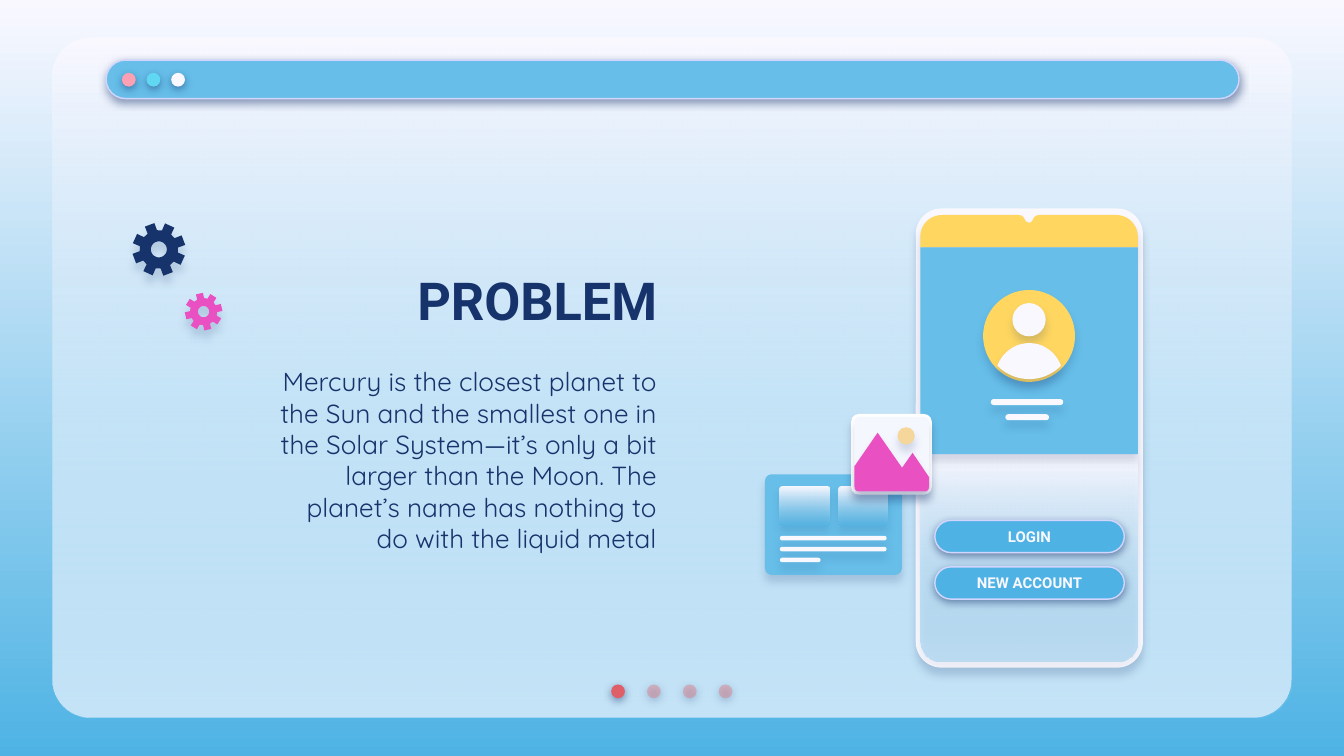
import math
import lxml.etree
import pptx
import pptx.dml.color
import pptx.enum.shapes
import pptx.enum.text
import pptx.oxml.ns
import pptx.util

Pt = pptx.util.Pt
qn = pptx.oxml.ns.qn
MSO = pptx.enum.shapes.MSO_SHAPE
ALIGN = pptx.enum.text.PP_ALIGN

COLORS = {
    "pale": "F9F8FF", "white": "FFFFFF", "ice": "F5F7FF", "navy": "17336B",
    "sky": "66BEE9", "blue": "4EB3E4", "lilac": "D2D6FF", "pink": "E951C2",
    "yellow": "FFD65F", "sand": "F5D79B", "red": "DF5F69", "rose": "E27B83",
    "blush": "FDA0B4", "cyan": "60D8F4",
}
# Gradients run from top to bottom: (colour, opacity %) per stop
FADES = {
    "page": (("pale", 100), ("blue", 100)),
    "glass": (("pale", 100), ("sky", 35)),
    "thumb": (("pale", 100), ("blue", 58)),
}
# Shadows fall straight down: (opacity %, blur, distance)
SHADOWS = {"crisp": (50, 4.5, 1.5), "soft": (16, 4.5, 3.8),
           "gear": (16, 4.5, 4.5), "none": None}

# Text: string, box, font, size, bold, space after
TEXTS = [
    ("PROBLEM", (138.2, 131.8, 221, 56.9), "Roboto", 28, True, 0),
    ("Mercury is the closest planet to the Sun and the smallest one in the "
     "Solar System—it’s only a bit larger than the Moon. The planet’s name "
     "has nothing to do with the liquid metal",
     (138.2, 190.8, 221, 110.9), "Quicksand", 14, False, 12),
]

# Parts: box (left, top, width, height), fill, corner radius; "o" is an ellipse
PANEL = (28.1, 20.4, 663.8, 364.1)
BAR = (56.9, 32.2, 606.9, 20.6)
BAR_DOTS = ["blush", "cyan", "pale"]
PAGE_DOTS = [("red", 100)] + [("rose", 44)] * 3
DOT = 7.4

CARD = [((409.8, 254.1, 73.4, 53.9), "sky", 3.5)]
CARD += [((x, 260.5, 26.6, 21.4), "thumb", 1.4) for x in (417.8, 449)]
CARD += [((417.8, 287.1 + 5.85 * i, w, 2.4), "pale", 1.2)
         for i, w in enumerate((57.2, 57.2, 21.8))]

PHONE = [((490.6, 111.7, 121.7, 246), "pale", 13.8)]
SCREEN_BOTTOM = (493.1, 243.3, 116.5, 111)
PROFILE = [
    ((493.1, 132.5, 116.5, 110.8), "sky", 0),
    ((526.7, 155.4, 49.2, 49.2), "yellow", "o"),
    ((542.4, 162.4, 17.8, 17.8), "pale", "o"),
]
NAME_LINES = [((530.8, 213.8, 38.8, 3.2), "pale", 1.6),
              ((538.6, 221.9, 23.4, 3.2), "pale", 1.6)]
BUTTONS = ["LOGIN", "NEW ACCOUNT"]

PHOTO = [((456, 221.8, 43.2, 43.2), "white", 4.1),
         ((457.8, 223.4, 39.9, 39.9), "ice", 2.4)]
SUN = [((480.8, 228.9, 9.3, 9.3), "sand", "o")]

# Outlines: a pair is a straight step, six numbers are a curve
SCREEN_TOP = [
    (504.9, 115.2), (498.2, 115.2, 493.1, 120.3, 493.1, 126.7), (493.1, 132.5),
    (609.6, 132.5), (609.6, 126.7), (609.6, 120.3, 604.3, 115.2, 597.9, 115.2),
    (557.3, 115.2), (555.1, 115.2, 553.8, 116.2, 553.4, 117.8),
    (552.9, 118.8, 552.2, 119.3, 551.4, 119.3),
    (550.6, 119.3, 549.6, 118.8, 549.1, 117.8),
    (548.5, 116.2, 547.3, 115.2, 545.6, 115.2),
]
SHOULDERS = [
    (551.4, 183.8), (543.6, 183.8, 537, 188.8, 534.3, 195.9),
    (538.6, 200.4, 544.8, 203.1, 551.4, 203.1),
    (558, 203.1, 564, 200.4, 568.4, 195.9),
    (565.7, 188.8, 559.2, 183.8, 551.4, 183.8),
]
MOUNTAINS = [
    (470.2, 231.8), (457.8, 249.8), (457.8, 260.8),
    (457.8, 262.2, 458.8, 263.3, 460.2, 263.3), (495.4, 263.3),
    (496.8, 263.3, 497.7, 262.2, 497.7, 260.8), (497.7, 255.6),
    (488.9, 242.6), (483.3, 250.6),
]
# Gears: centre, tip radius, angle of the first tooth, colour
GEARS = [((85.1, 133.6), 14.3, -110.6, "navy"),
         ((109.1, 167), 10.1, -103, "pink")]
TEETH = 8


def rgb(name):
    return pptx.dml.color.RGBColor.from_string(COLORS[name])


def set_alpha(clr, percent):
    if percent < 100:
        lxml.etree.SubElement(clr, qn("a:alpha"), val=str(percent * 1000))


def paint(fill, name):
    """Fill with a plain colour or a named top-to-bottom fade."""
    if name not in FADES:
        fill.solid()
        fill.fore_color.rgb = rgb(name)
        return
    fill.gradient()
    fill.gradient_angle = 270
    for stop, (color, _) in zip(fill.gradient_stops, FADES[name]):
        stop.color.rgb = rgb(color)


def style(sp, fill, shadow, alpha=100, outlined=False):
    paint(sp.fill, fill)
    spPr = sp._element.spPr
    alphas = [a for _, a in FADES[fill]] if fill in FADES else [alpha]
    for clr, a in zip(list(spPr.iter(qn("a:srgbClr"))), alphas):
        set_alpha(clr, a)
    if outlined:
        sp.line.color.rgb = rgb("lilac")
        sp.line.width = Pt(0.75)
    else:
        sp.line.fill.background()
    sp.shadow.inherit = False
    if SHADOWS[shadow]:
        opacity, blur, dist = SHADOWS[shadow]
        outer = lxml.etree.SubElement(
            spPr.find(qn("a:effectLst")), qn("a:outerShdw"), blurRad=str(Pt(blur)),
            dist=str(Pt(dist)), dir="5400000", algn="bl", rotWithShape="0")
        clr = lxml.etree.SubElement(outer, qn("a:srgbClr"), val=COLORS["navy"])
        set_alpha(clr, opacity)


def add_part(shapes, box, fill, radius, shadow="soft", **look):
    kind = MSO.OVAL if radius == "o" else MSO.ROUNDED_RECTANGLE if radius else MSO.RECTANGLE
    sp = shapes.add_shape(kind, *map(Pt, box))
    if kind == MSO.ROUNDED_RECTANGLE:
        sp.adjustments[0] = min(0.5, radius / min(box[2:]))
    style(sp, fill, shadow, **look)
    return sp


def add_parts(shapes, parts):
    for part in parts:
        add_part(shapes, *part)


def flatten(steps, n=10):
    """Turn straight steps and curves into a list of points."""
    pts = []
    for step in steps:
        if len(step) == 2:
            pts.append(step)
            continue
        ctrl = [pts[-1], step[:2], step[2:4], step[4:]]
        for i in range(1, n + 1):
            t = i / n
            w = ((1 - t) ** 3, 3 * t * (1 - t) ** 2, 3 * t * t * (1 - t), t ** 3)
            pts.append(tuple(sum(k * c[d] for k, c in zip(w, ctrl)) for d in (0, 1)))
    return pts


def add_outline(shapes, contours, fill, shadow="soft"):
    contours = [[(Pt(x), Pt(y)) for x, y in pts] for pts in contours]
    fb = shapes.build_freeform(*contours[0][0], scale=1.0)
    for i, pts in enumerate(contours):
        if i:
            fb.move_to(*pts[0])
        fb.add_line_segments(pts[1:], close=True)
    style(fb.convert_to_shape(), fill, shadow)


def gear(center, radius, start):
    def polar(r, deg):
        a = math.radians(deg)
        return center[0] + r * math.cos(a), center[1] + r * math.sin(a)
    corners = ((0.72, -15), (1, -11), (1, 11), (0.72, 15))
    rim = [polar(radius * k, start + 360 / TEETH * i + off)
           for i in range(TEETH) for k, off in corners]
    hole = [polar(radius * 0.3, -a) for a in range(0, 360, 10)]
    return [rim, hole]


def add_run(tf, text, font, size, bold, color, align):
    tf.word_wrap = True
    tf.auto_size = pptx.enum.text.MSO_AUTO_SIZE.NONE
    tf.vertical_anchor = pptx.enum.text.MSO_ANCHOR.MIDDLE
    tf.margin_left = tf.margin_right = tf.margin_top = tf.margin_bottom = Pt(7.2)
    p = tf.paragraphs[0]
    p.alignment, p.space_before = align, Pt(0)
    r = p.add_run()
    r.text = text
    r.font.name, r.font.size, r.font.bold = font, Pt(size), bold
    r.font.color.rgb = rgb(color)
    return p


prs = pptx.Presentation()
prs.slide_width, prs.slide_height = Pt(720), Pt(405)
s = prs.slides.add_slide(prs.slide_layouts[0])
paint(s.background.fill, "page")

# Window frame with its title bar and page dots
frame = s.shapes.add_group_shape().shapes
for fill in ("pale", "glass"):
    add_part(frame, PANEL, fill, 20.4, "none")
for i, (fill, alpha) in enumerate(PAGE_DOTS):
    add_part(frame, (327.4 + 19.2 * i, 366.7, DOT, DOT), fill, "o", "crisp", alpha=alpha)
add_part(frame, BAR, "sky", 10.3, "crisp", outlined=True)
for i, fill in enumerate(BAR_DOTS):
    add_part(frame, (65.3 + 13.2 * i, 39, DOT, DOT), fill, "o", "crisp")

# Title and body, brought in front of the frame
for sp, (text, box, font, size, bold, after) in zip(list(s.placeholders), TEXTS):
    sp.left, sp.top, sp.width, sp.height = map(Pt, box)
    p = add_run(sp.text_frame, text, font, size, bold, "navy", ALIGN.RIGHT)
    p.space_after = Pt(after)
    s.shapes._spTree.append(sp._element)

# Card behind the phone
add_parts(s.shapes.add_group_shape().shapes, CARD)

# Phone with profile and buttons
phone = s.shapes.add_group_shape().shapes
add_parts(phone, PHONE)
sp = phone.add_shape(MSO.ROUND_2_SAME_RECTANGLE, *map(Pt, SCREEN_BOTTOM))
sp.adjustments[0], sp.adjustments[1] = 0, 0.1
style(sp, "glass", "soft")
add_outline(phone, [flatten(SCREEN_TOP)], "yellow")
add_parts(phone, PROFILE)
add_outline(phone, [flatten(SHOULDERS)], "pale")
add_parts(phone, NAME_LINES)
for i, label in enumerate(BUTTONS):
    sp = add_part(phone, (500.8, 278.8 + 24.9 * i, 101.5, 17.3), "blue", 8.65,
                  "crisp", outlined=True)
    add_run(sp.text_frame, label, "Roboto", 8, True, "pale", ALIGN.CENTER)

# Photo tile
photo = s.shapes.add_group_shape().shapes
add_parts(photo, PHOTO)
add_outline(photo, [flatten(MOUNTAINS)], "pink")
add_parts(photo, SUN)

# Gears
gears = s.shapes.add_group_shape().shapes
for center, radius, start, fill in GEARS:
    add_outline(gears, gear(center, radius, start), fill, "gear")

prs.save("out.pptx")
